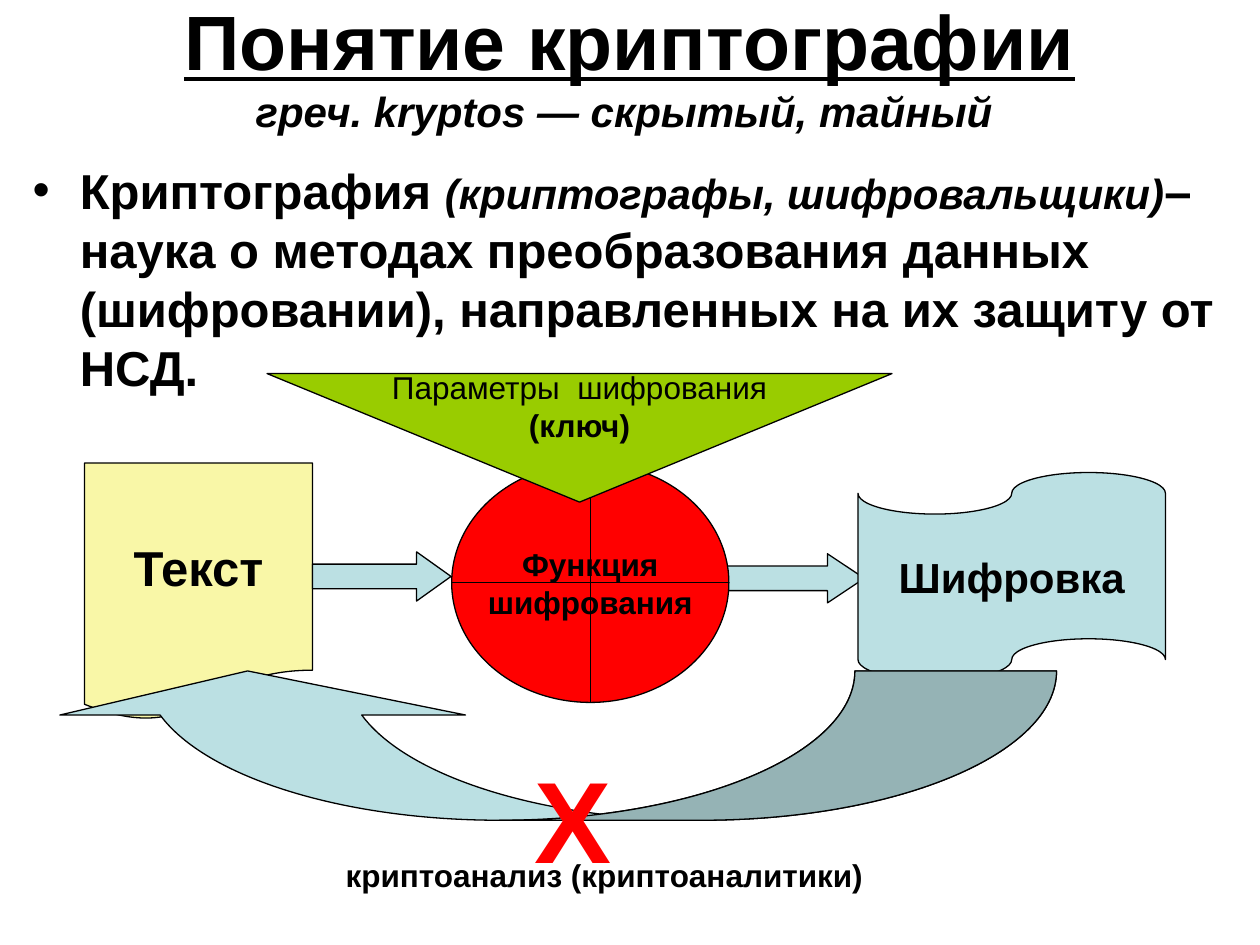
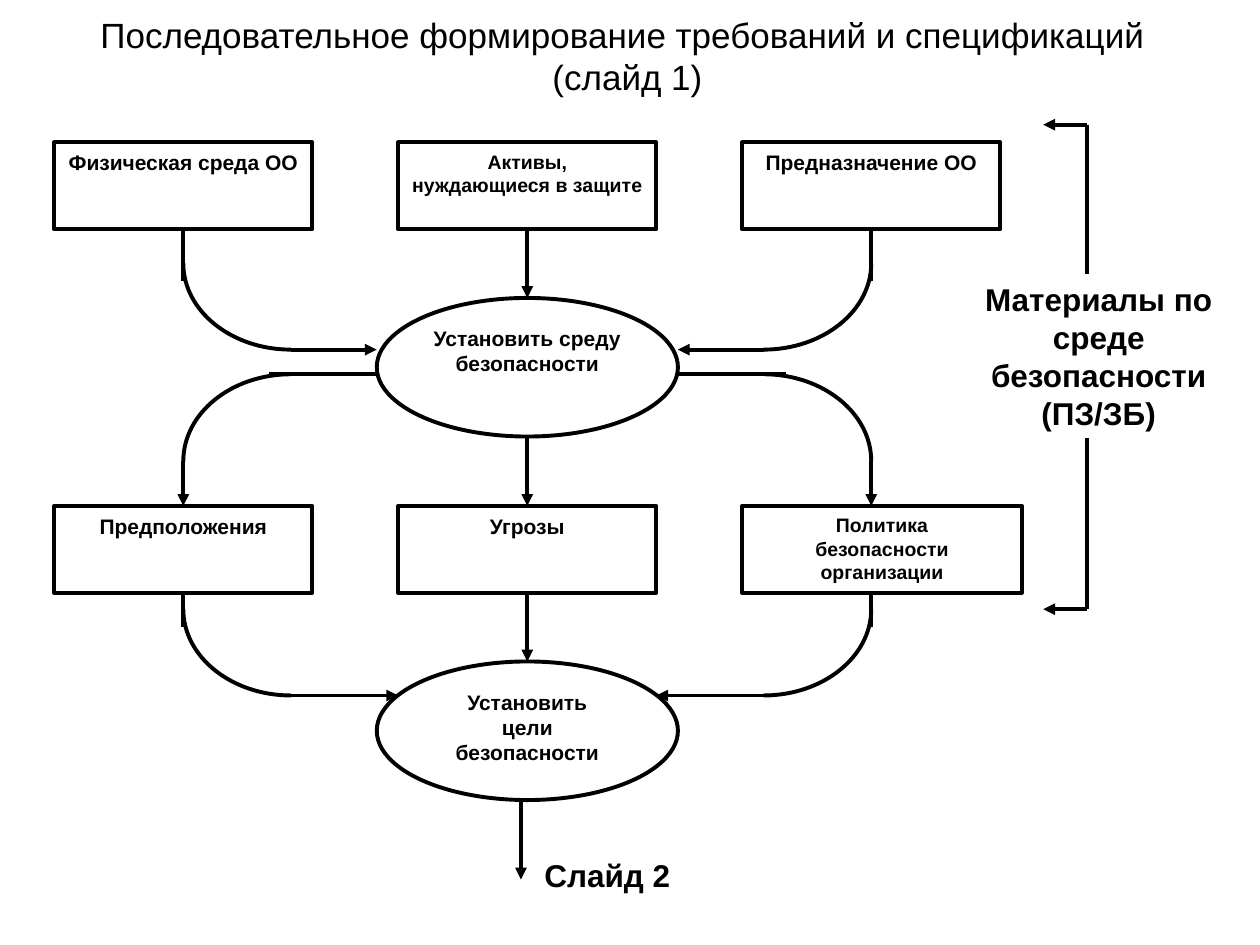
import math
from lxml import etree
from pptx import Presentation
from pptx import util as u
from pptx.dml import color
from pptx.enum import shapes, text
from pptx.oxml import ns

WIDTH, HEIGHT = u.Inches(10), u.Inches(7.5)
COLUMNS, ROWS = 100, 75
FONT = "Arial"
BLACK, WHITE, RED = "000000", "FFFFFF", "FF0000"
YELLOW, GREEN, AQUA = "F9F7A7", "99CC00", "BBE0E3"
KIND = shapes.MSO_SHAPE
MIDDLE, TOP = text.MSO_ANCHOR.MIDDLE, text.MSO_ANCHOR.TOP
CENTER, LEFT = text.PP_ALIGN.CENTER, text.PP_ALIGN.LEFT


def rgb(value):
    return color.RGBColor.from_string(value)


def col(number):
    return round(WIDTH * number / COLUMNS)


def row(number):
    return round(HEIGHT * number / ROWS)


def place(box):
    left, top, width, height = box
    return col(left), row(top), col(width), row(height)


def add_child(parent, tag, **attributes):
    child = etree.SubElement(parent, ns.qn(tag))
    for name, value in attributes.items():
        child.set(name, value)
    return child


def style_font(font, size, bold=True, fill=BLACK):
    font.name, font.size, font.bold = FONT, u.Pt(size), bold
    font.color.rgb = rgb(fill)


def write(shape, lines, size, bold=True, fill=BLACK, align=CENTER, anchor=MIDDLE, wrap=True):
    frame = shape.text_frame
    frame.word_wrap, frame.vertical_anchor = wrap, anchor
    for index, line in enumerate(lines):
        para = frame.add_paragraph() if index else frame.paragraphs[0]
        para.text = line
        para.alignment = align
        style_font(para.font, size, bold, fill)
    return frame


def add_text(page, box, lines, size, **style):
    return write(page.shapes.add_textbox(*place(box)), lines, size, **style)


def add_span(para, words, size, **marks):
    span = para.add_run()
    span.text = words
    span.font.size = u.Pt(size)
    for name, value in marks.items():
        setattr(span.font, name, value)


def outline(shape, weight):
    shape.shadow.inherit = False
    shape.line.color.rgb = rgb(BLACK)
    shape.line.width = u.Pt(weight)


def paint(shape, fill, weight):
    shape.fill.solid()
    shape.fill.fore_color.rgb = rgb(fill)
    outline(shape, weight)
    return shape


def add_block(page, kind, box, fill, weight=0.75):
    return paint(page.shapes.add_shape(kind, *place(box)), fill, weight)


def add_line(page, start, end, arrow=False):
    line = page.shapes.add_connector(
        shapes.MSO_CONNECTOR.STRAIGHT, col(start[0]), row(start[1]), col(end[0]), row(end[1]))
    line.line.color.rgb = rgb(BLACK)
    line.line.width = u.Pt(2.25)
    if arrow:
        add_child(line.get_or_add_ln(), "a:tailEnd", type="triangle")
    add_child(line.element.spPr, "a:effectLst")


def arc(x, y, across, down, first, last):
    a, b = math.radians(first), math.radians(last)
    pull = 4 / 3 * math.tan((b - a) / 4)
    spots = ((math.cos(a), math.sin(a)),
             (math.cos(a) - pull * math.sin(a), math.sin(a) + pull * math.cos(a)),
             (math.cos(b) + pull * math.sin(b), math.sin(b) - pull * math.cos(b)),
             (math.cos(b), math.sin(b)))
    return [(x + across * c, y + down * s) for c, s in spots]


def add_curves(page, contours, close):
    builder = None
    for start, *segments in contours:
        origin = col(start[0]), row(start[1])
        if builder:
            builder.move_to(*origin)
        else:
            builder = page.shapes.build_freeform(*origin)
        points = [(col(x), row(y)) for segment in segments for x, y in segment]
        builder.add_line_segments(points, close=close)
    shape = builder.convert_to_shape()
    outlines = shape.element.spPr.find(".//" + ns.qn("a:pathLst"))
    drawn = outlines[0]
    steps = iter(list(drawn))
    for index, (start, *segments) in enumerate(contours):
        target = add_child(outlines, "a:path", w=drawn.get("w"), h=drawn.get("h"))
        if index:
            target.set("fill", "darkenLess")
        target.append(next(steps))
        for segment in segments:
            if len(segment) == 1:
                target.append(next(steps))
            else:
                curve = add_child(target, "a:cubicBezTo")
                for _ in segment:
                    curve.append(next(steps)[0])
        if close:
            target.append(next(steps))
    outlines.remove(drawn)
    return shape


def add_bend(page, x, y, across, down):
    start, *curve = arc(x, y, across, down, 0, 90)
    bend = add_curves(page, [[start, curve]], close=False)
    bend.fill.background()
    outline(bend, 2.25)


def add_heading(page, box):
    frame = add_text(page, box, [""], 44)
    para = frame.paragraphs[0]
    add_span(para, "Понятие криптографии", 44, underline=True)
    para.add_line_break()
    add_span(para, "греч. kryptos — скрытый, тайный ", 24, italic=True)


def add_definition(page, box):
    frame = page.shapes.add_textbox(*place(box)).text_frame
    frame.word_wrap = True
    para = frame.paragraphs[0]
    properties = para._p.get_or_add_pPr()
    indent = col(3.75)
    properties.set("marL", str(indent))
    properties.set("indent", str(-indent))
    add_child(properties, "a:buFont", typeface=FONT)
    add_child(properties, "a:buChar", char="•")
    style_font(para.font, 28)
    add_span(para, "Криптография ", 28)
    add_span(para, "(криптографы, шифровальщики)", 24, italic=True)
    add_span(para, "– наука о методах преобразования данных (шифровании), "
             "направленных на их защиту от НСД.", 28)


def add_cipher_flow(page, box):
    left, top, width, height = box
    source = add_block(page, KIND.FLOWCHART_DOCUMENT, (left, top + 7.1, 18.1, 20.5), YELLOW)
    write(source, ["Текст"], 28, wrap=False)
    for x, y, length, head in ((18.1, 14.15, 11, 0.7), (50.1, 14.3, 11.8, 0.75)):
        arrow = add_block(page, KIND.RIGHT_ARROW, (left + x, top + y, length, 3.9), AQUA)
        arrow.adjustments[1] = head
    function = add_block(page, KIND.FLOWCHART_OR, (left + 29.15, top + 7.1, 22, 19), RED)
    write(function, ["Функция", "шифрования"], 18, wrap=False)
    key = add_block(page, KIND.FLOWCHART_MERGE, (left + 14.5, top, 49.6, 10.2), GREEN)
    frame = write(key, ["Параметры  шифрования", "(ключ)"], 18, bold=False, wrap=False)
    frame.paragraphs[1].font.bold = True
    cipher = add_block(page, KIND.FLOWCHART_PUNCHED_TAPE,
                       (left + width - 24.4, top + 7.85, 24.4, 16.5), AQUA)
    write(cipher, ["Шифровка"], 24, wrap=False)


def add_return_arrow(page, box):
    left, top, width, height = box
    across, band, head = 28.2, 16, 3.5
    outer = left + width - across
    inner = outer - band
    tip = math.degrees(math.asin(head / height))
    cross = math.degrees(math.acos(band / 2 / across))

    def sweep(x, first, last):
        return arc(x, top, across, height, first, last)

    start, *tail = sweep(outer, 0, 90)
    rear = sweep(inner, 90, 180 - tip)
    front = sweep(outer, 180 - tip, 180 - cross)
    base = top + head
    whole = [start, tail, [rear[0]], rear[1:], [(left + 1.2, base)], [(left + 16.1, top)],
             [(left + 33.4, base)], [front[0]], front[1:], sweep(inner, cross, 0)[1:]]
    shade = [start, tail, [rear[0]], sweep(inner, 90, 0)[1:]]
    paint(add_curves(page, [whole, shade], close=True), AQUA, 0.75)


def add_cryptanalysis(page, box):
    left, top, width, height = box
    add_return_arrow(page, (left, top, width, 11.85))
    add_text(page, (left + 37.85, top + 5.6, 8.1, 12), ["X"], 66,
             fill=RED, align=LEFT, anchor=TOP)
    add_text(page, (left + 22.9, top + height - 4, 43.8, 4), ["криптоанализ (криптоаналитики)"],
             18, align=LEFT, anchor=TOP, wrap=False)


def add_label(page, kind, box, words, size):
    shape = add_block(page, kind, box, WHITE, 2.25)
    frame = write(shape, [words], size, anchor=TOP)
    frame.margin_top = u.Inches(0.06)


def add_stage(page, box, labels, goal, bend_top, reach):
    left, top, width, height = box
    pitch, card, center = 27.3, 20.5, left + 37.55
    bottom, goal_top = top + 6.9, top + 12.35
    for index, (words, size, card_width) in enumerate(labels):
        add_label(page, KIND.RECTANGLE, (left + index * pitch, top, card_width or card, 6.9),
                  words, size)
    add_label(page, KIND.OVAL, (center - 11.95, goal_top, 23.9, height - 12.4), goal, 12)
    add_line(page, (center, bottom), (center, goal_top), arrow=True)
    for side in (-1, 1):
        outer, inner = center + side * pitch, center + side * 18.75
        join = top + bend_top + 6.85
        add_line(page, (outer, bottom), (outer, top + bend_top + 1.4))
        add_bend(page, inner, top + bend_top, side * 8.55, 6.85)
        add_line(page, (inner, join), (center + side * reach, join), arrow=True)


def add_fork(page, box):
    left, top, width, height = box
    center, bottom = left + width / 2, top + height
    for side in (-1, 1):
        outer, inner = center + side * width / 2, center + side * 18.75
        add_line(page, (center + side * 11.95, top), (center + side * 20.5, top))
        add_bend(page, inner, top + 6.9, side * 8.55, -6.9)
        add_line(page, (outer, top + 6.9), (outer, bottom), arrow=True)
    add_line(page, (center, top + 4.95), (center, bottom), arrow=True)


def add_bracket(page, box):
    left, top, width, height = box
    right, bottom = left + width, top + height
    add_line(page, (right, top), (right, bottom))
    for y in (top, bottom):
        add_line(page, (right, y), (left, y), arrow=True)
    note = add_block(page, KIND.RECTANGLE, (right - 9.85, top + 11.85, 21.6, 13), WHITE)
    note.line.fill.background()
    write(note, ["Материалы по среде безопасности (ПЗ/ЗБ)"], 18, anchor=TOP)


def build_concept(page):
    add_heading(page, (5, -1.1, 90, 12.5))
    add_definition(page, (1.6, 12.25, 98.8, 22.8))
    add_cipher_flow(page, (6.7, 29.65, 85.8, 27.6))
    add_cryptanalysis(page, (3.55, 53.25, 80.3, 18.2))


def build_sequence(page):
    add_text(page, (1.55, 0.45, 96.5, 7.9),
             ["Последовательное формирование требований и спецификаций \v(слайд 1)"],
             20, bold=False)
    add_stage(page, (4.3, 11.3, 75.1, 23.4),
              (("Физическая среда ОО", 12, None),
               ("Активы,\vнуждающиеся в защите", 11.1, None),
               ("Предназначение ОО", 12, None)),
              "Установить среду\vбезопасности", 9.6, 11.95)
    add_stage(page, (4.3, 40.15, 75.1, 23.4),
              (("Предположения", 12, None),
               ("Угрозы", 12, None),
               ("Политика\vбезопасности\vорганизации", 11.1, 22.2)),
              "Установить\vцели\vбезопасности", 8.2, 10.25)
    add_fork(page, (14.55, 29.7, 54.6, 10.45))
    add_bracket(page, (82.8, 9.9, 3.45, 38.45))
    add_line(page, (41.35, 63.5), (41.35, 69.8), arrow=True)
    add_text(page, (37.4, 67.45, 21.6, 4), ["Слайд 2"], 18, anchor=TOP)


def main():
    deck = Presentation()
    deck.slide_width, deck.slide_height = WIDTH, HEIGHT
    for build in (build_concept, build_sequence):
        build(deck.slides.add_slide(deck.slide_layouts[6]))
    deck.save("out.pptx")


if __name__ == "__main__":
    main()
